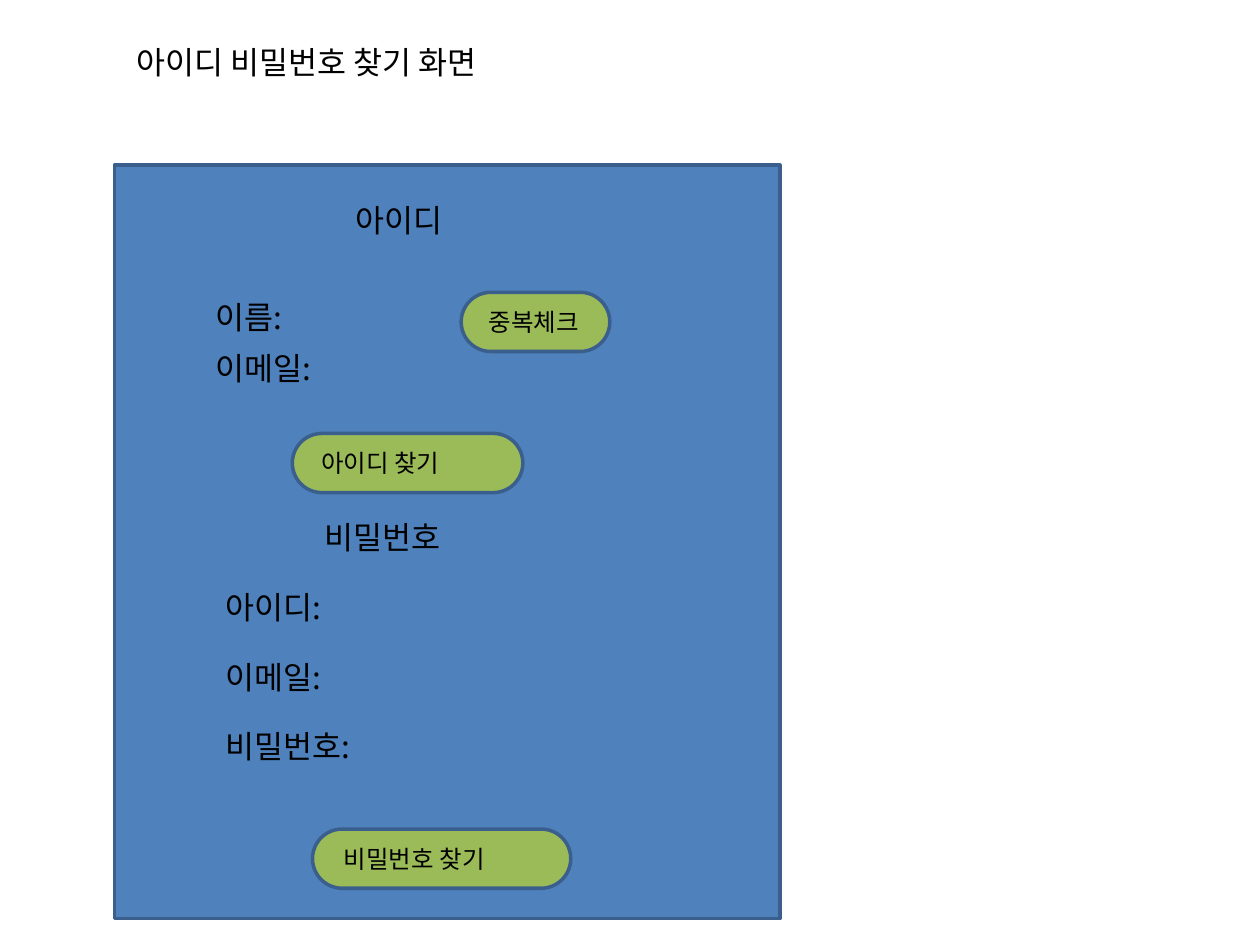
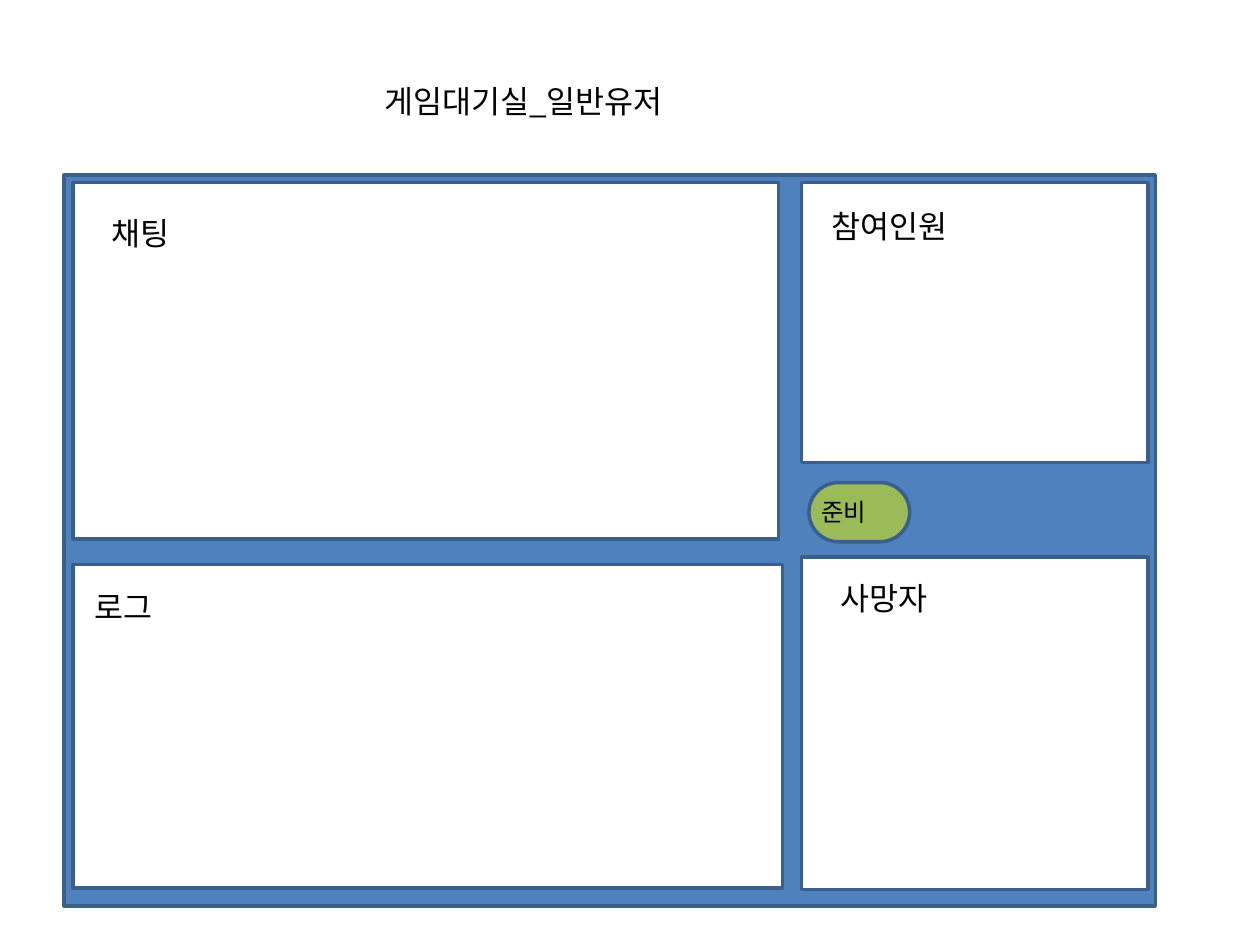
from pptx import Presentation
from pptx.dml.color import RGBColor
from pptx.enum import shapes, text
from pptx.oxml.ns import qn
from pptx.util import Inches, Pt

FONT = "Noto Sans CJK KR"
BLUE, GREEN, WHITE, BLACK = "4F81BD", "9BBB59", "FFFFFF", "000000"
OUTLINE = "3A5F8C"
LABEL_SIZE, BUTTON_SIZE = 18, 14
LABEL_HEIGHT, BUTTON_HEIGHT = 0.4, 0.47


def color(hex_string):
    return RGBColor.from_string(hex_string)


class Wireframe:
    """Holds the deck, its style and the current page."""

    def __init__(self):
        self.deck = Presentation()
        self.deck.slide_width, self.deck.slide_height = Inches(10), Inches(7.5)
        self.page = None

    def set_words(self, box, words, size):
        frame = box.text_frame
        frame.text = words
        frame.word_wrap = True
        para = frame.paragraphs[0]
        para.alignment = text.PP_ALIGN.LEFT
        for span in para.runs:
            span.font.size = Pt(size)
            span.font.name = FONT
            span.font.color.rgb = color(BLACK)
            # Korean letters take the East Asian typeface
            east_asian = span.font._element.makeelement(qn("a:ea"), {"typeface": FONT})
            span.font._element.find(qn("a:latin")).addnext(east_asian)
        return frame

    def new_page(self, title, left, top, width):
        self.page = self.deck.slides.add_slide(self.deck.slide_layouts[5])
        box = self.page.shapes.title
        box.left, box.top = Inches(left), Inches(top)
        box.width, box.height = Inches(width), Inches(LABEL_HEIGHT)
        frame = self.set_words(box, title, LABEL_SIZE)
        frame.auto_size = text.MSO_AUTO_SIZE.NONE
        frame.vertical_anchor = text.MSO_ANCHOR.TOP

    def label(self, words, left, top, width):
        box = self.page.shapes.add_textbox(
            Inches(left), Inches(top), Inches(width), Inches(LABEL_HEIGHT))
        frame = self.set_words(box, words, LABEL_SIZE)
        frame.auto_size = text.MSO_AUTO_SIZE.SHAPE_TO_FIT_TEXT

    def panel(self, left, top, width, height, fill, corner=None):
        kind = shapes.MSO_SHAPE.RECTANGLE if corner is None else shapes.MSO_SHAPE.ROUNDED_RECTANGLE
        box = self.page.shapes.add_shape(
            kind, Inches(left), Inches(top), Inches(width), Inches(height))
        if corner is not None:
            box.adjustments[0] = corner
        box.shadow.inherit = False
        box.fill.solid()
        box.fill.fore_color.rgb = color(fill)
        box.line.color.rgb = color(OUTLINE)
        box.line.width = Pt(2)
        return box

    def button(self, words, left, top, width, indent):
        box = self.panel(left, top, width, BUTTON_HEIGHT, GREEN, corner=0.5)
        frame = self.set_words(box, words, BUTTON_SIZE)
        frame.vertical_anchor = text.MSO_ANCHOR.MIDDLE
        frame.margin_left = Inches(indent)
        frame.margin_right = frame.margin_top = frame.margin_bottom = 0


def build_account_search(wireframe):
    wireframe.new_page("아이디 비밀번호 찾기 화면", 0.98, 0.29, 3.78)
    wireframe.panel(0.91, 1.31, 5.28, 5.98, BLUE)

    # Find the user name
    wireframe.label("아이디", 2.72, 1.55, 1.73)
    for row, field in enumerate(["이름:", "이메일:"]):
        wireframe.label(field, 1.61, 2.32 + 0.4 * row, 2.28)
    wireframe.button("중복체크", 3.66, 2.32, 1.18, 0.15)
    wireframe.button("아이디 찾기", 2.32, 3.44, 1.83, 0.16)

    # Find the password
    wireframe.label("비밀번호", 2.48, 4.06, 1.73)
    for row, field in enumerate(["아이디:", "이메일:", "비밀번호:"]):
        wireframe.label(field, 1.69, 4.62 + 0.55 * row, 2.28)
    wireframe.button("비밀번호 찾기", 2.48, 6.58, 2.05, 0.18)


def build_waiting_room(wireframe):
    wireframe.new_page("게임대기실_일반유저", 2.95, 0.6, 2.83)
    wireframe.panel(0.51, 1.39, 8.66, 5.8, BLUE)

    # Areas: name, panel bounds, label offset and width
    areas = [
        ("채팅", (0.58, 1.45, 5.6, 2.83), (0.21, 0.2), 1.45),
        ("참여인원", (6.36, 1.45, 2.75, 2.22), (0.14, 0.14), 1.26),
        ("로그", (0.58, 4.48, 5.63, 2.57), (0.07, 0.14), 1.13),
        ("사망자", (6.36, 4.42, 2.75, 2.64), (0.21, 0.13), 1.82),
    ]
    for name, bounds, (indent, drop), label_width in areas:
        wireframe.panel(*bounds, WHITE, corner=0)
        wireframe.label(name, bounds[0] + indent, bounds[1] + drop, label_width)

    wireframe.button("준비", 6.42, 3.83, 0.8, 0.03)


def main():
    wireframe = Wireframe()
    build_account_search(wireframe)
    build_waiting_room(wireframe)
    wireframe.deck.save("out.pptx")


if __name__ == "__main__":
    main()
